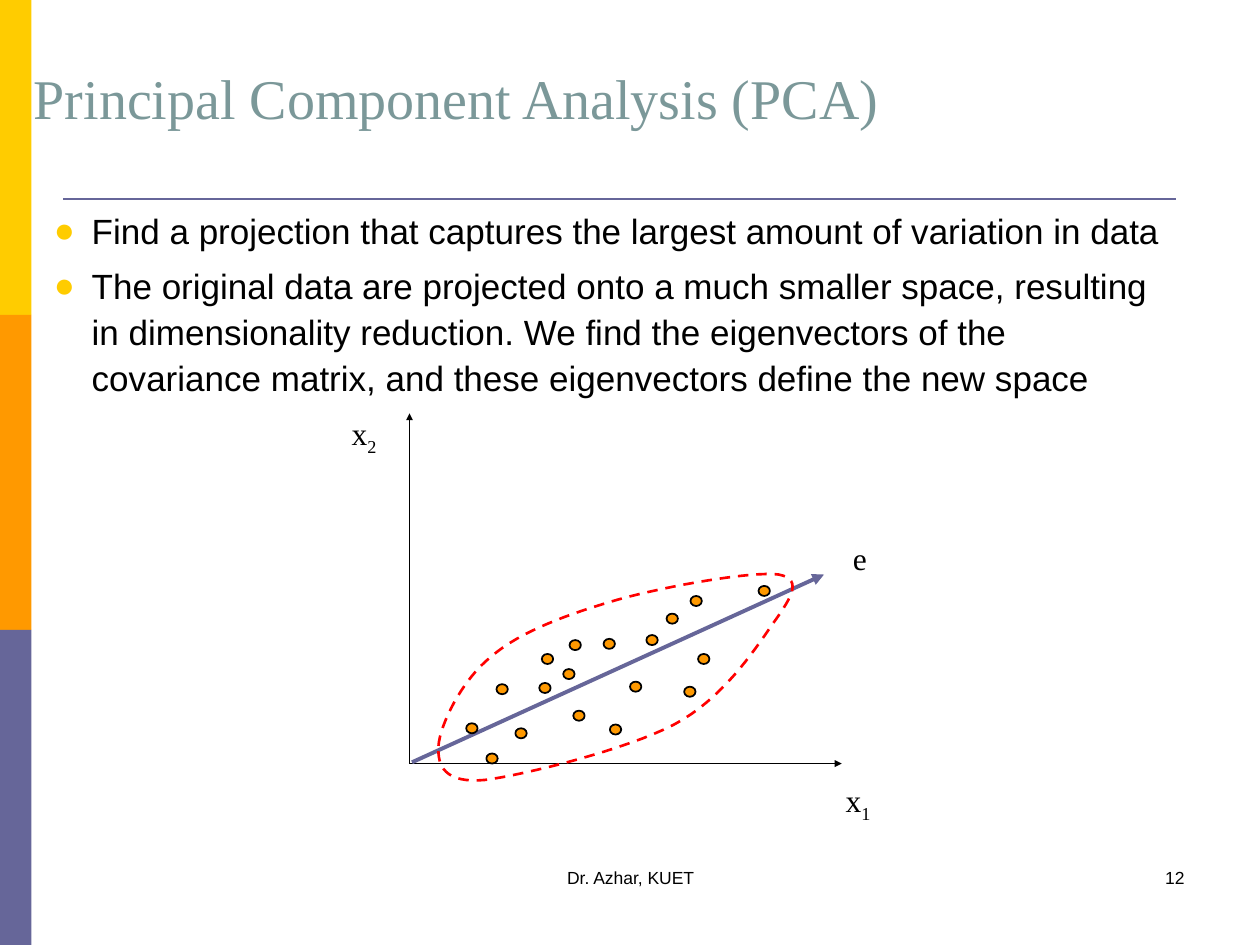
import pptx
import pptx.util
import pptx.dml.color
import pptx.enum.dml
import pptx.enum.shapes
import pptx.enum.text
import pptx.oxml.ns
import lxml.etree

Inches = pptx.util.Inches
Pt = pptx.util.Pt
RGBColor = pptx.dml.color.RGBColor
Align = pptx.enum.text.PP_ALIGN
Anchor = pptx.enum.text.MSO_ANCHOR
Shape = pptx.enum.shapes.MSO_SHAPE
qn = pptx.oxml.ns.qn

YELLOW = RGBColor(0xFF, 0xCC, 0x00)
ORANGE = RGBColor(0xFF, 0x99, 0x00)
VIOLET = RGBColor(0x66, 0x66, 0x99)
TEAL = RGBColor(0x7B, 0x98, 0x99)
RED = RGBColor(0xFF, 0x00, 0x00)
BLACK = RGBColor(0x00, 0x00, 0x00)

deck = pptx.Presentation()
deck.slide_width = Inches(10)
deck.slide_height = Inches(7.5)
page = deck.slides.add_slide(deck.slide_layouts[6])


def add_text(area, texts, font, size, color, align=Align.LEFT, anchor=Anchor.TOP, wrap=True):
    """Add a text box with one paragraph for each text."""
    box = page.shapes.add_textbox(*[Inches(value) for value in area])
    frame = box.text_frame
    frame.text = "\n".join(texts)
    frame.word_wrap = wrap
    frame.vertical_anchor = anchor
    for para in frame.paragraphs:
        para.alignment = align
        for span in para.runs:
            span.font.name = font
            span.font.size = Pt(size)
            span.font.color.rgb = color
    return box


def add_line(start, end, color, width, arrow=None):
    """Add a straight line, with an arrowhead of the given size at its end."""
    line = page.shapes.add_connector(
        pptx.enum.shapes.MSO_CONNECTOR.STRAIGHT,
        *[Inches(value) for value in start + end])
    line.line.color.rgb = color
    line.line.width = Pt(width)
    if arrow:
        lxml.etree.SubElement(line.line._get_or_add_ln(), qn("a:tailEnd"),
                              type="triangle", w=arrow, len=arrow)
    lxml.etree.SubElement(line._element.spPr, qn("a:effectLst"))


# Colour bands down the left edge
for index, color in enumerate([YELLOW, ORANGE, VIOLET]):
    band = page.shapes.add_shape(
        Shape.RECTANGLE, 0, Inches(2.5 * index), Inches(0.25), Inches(2.5))
    band.shadow.inherit = False
    band.fill.solid()
    band.fill.fore_color.rgb = color
    band.line.fill.background()

# Title and rule
add_text((0.17, 0.17, 9.58, 0.92), ["Principal Component Analysis (PCA)"],
         "Times New Roman", 32, TEAL, anchor=Anchor.BOTTOM)
add_line((0.5, 1.58), (9.33, 1.58), VIOLET, 1.5)

# Bulleted text
body = add_text((0.33, 1.58, 9.17, 1.75), [
    "Find a projection that captures the largest amount of variation in data",
    "The original data are projected onto a much smaller space, resulting in "
    "dimensionality reduction. We find the eigenvectors of the covariance matrix, "
    "and these eigenvectors define the new space",
], "Arial", 20, BLACK)
for index, para in enumerate(body.text_frame.paragraphs):
    para.line_spacing = 1.1
    para.space_before = Pt(5 if index else 0)
    properties = para._p.get_or_add_pPr()
    properties.set("marL", str(Inches(0.3)))
    properties.set("indent", str(Inches(-0.3)))
    bullet_color = lxml.etree.SubElement(properties, qn("a:buClr"))
    lxml.etree.SubElement(bullet_color, qn("a:srgbClr"), val=str(YELLOW))
    lxml.etree.SubElement(properties, qn("a:buFont"), typeface="Arial")
    lxml.etree.SubElement(properties, qn("a:buChar"), char="●")

# Axes and the principal direction
ORIGIN = (3.25, 6.06)
add_line(ORIGIN, (3.25, 3.28), BLACK, 1, arrow="sm")
add_line(ORIGIN, (6.68, 6.06), BLACK, 1, arrow="sm")
add_line((3.27, 6.05), (6.54, 4.56), VIOLET, 2.25, arrow="med")

# Data points, by top left corner
points = [
    (3.94, 5.43), (4.30, 5.19), (3.70, 5.74), (4.47, 5.31), (4.28, 5.42), (5.00, 5.41),
    (4.84, 5.75), (4.55, 5.64), (4.79, 5.07), (5.54, 5.19), (6.02, 4.65), (4.09, 5.78),
    (5.13, 5.04), (5.48, 4.73), (4.52, 5.08), (5.29, 4.87), (5.43, 5.45), (3.86, 5.98),
]
for left, top in points:
    dot = page.shapes.add_shape(
        Shape.OVAL, Inches(left), Inches(top), Inches(0.09), Inches(0.08))
    dot.shadow.inherit = False
    dot.fill.solid()
    dot.fill.fore_color.rgb = ORANGE
    dot.line.color.rgb = BLACK
    dot.line.width = Pt(1)

# Dashed cloud outline: Bezier segments sampled into short steps
STEPS = 16
start = (3.48, 5.92)
segments = [
    ((3.49, 5.76), (3.66, 5.40), (3.90, 5.21)),
    ((4.13, 5.01), (4.52, 4.87), (4.90, 4.76)),
    ((5.29, 4.65), (5.98, 4.53), (6.18, 4.56)),
    ((6.39, 4.60), (6.26, 4.77), (6.12, 4.97)),
    ((5.98, 5.17), (5.73, 5.55), (5.35, 5.75)),
    ((4.97, 5.95), (4.16, 6.15), (3.85, 6.19)),
    ((3.53, 6.22), (3.47, 6.08), (3.48, 5.92)),
]
builder = page.shapes.build_freeform(Inches(start[0]), Inches(start[1]))
outline = []
for first, second, end in segments:
    for step in range(1, STEPS + 1):
        t = step / STEPS
        outline.append(tuple(
            Inches((1 - t) ** 3 * a + 3 * (1 - t) ** 2 * t * b
                   + 3 * (1 - t) * t ** 2 * c + t ** 3 * d)
            for a, b, c, d in zip(start, first, second, end)))
    start = end
builder.add_line_segments(outline, close=True)
cloud = builder.convert_to_shape()
cloud.shadow.inherit = False
cloud.fill.background()
cloud.line.color.rgb = RED
cloud.line.width = Pt(1.5)
cloud.line.dash_style = pptx.enum.dml.MSO_LINE.DASH

# Labels, with subscripts where needed
labels = [
    ((2.69, 3.24, 0.4, 0.44), "x", "2"),
    ((6.61, 6.15, 0.4, 0.44), "x", "1"),
    ((6.67, 4.23, 0.31, 0.4), "e", ""),
]
for area, letter, subscript in labels:
    label = add_text(area, [letter], "Times New Roman", 18, BLACK,
                     Align.CENTER, Anchor.MIDDLE, wrap=False)
    if subscript:
        span = label.text_frame.paragraphs[0].add_run()
        span.text = subscript
        span.font.name = "Times New Roman"
        span.font.size = Pt(18)
        span.font.color.rgb = BLACK
        span._r.get_or_add_rPr().set("baseline", "-25000")

# Footer and page number
add_text((3.42, 6.83, 3.17, 0.5), ["Dr. Azhar, KUET"], "Arial", 10, BLACK, Align.CENTER)
add_text((7.17, 6.83, 2.33, 0.5), ["12"], "Arial", 10, BLACK, Align.RIGHT)

deck.save("out.pptx")
